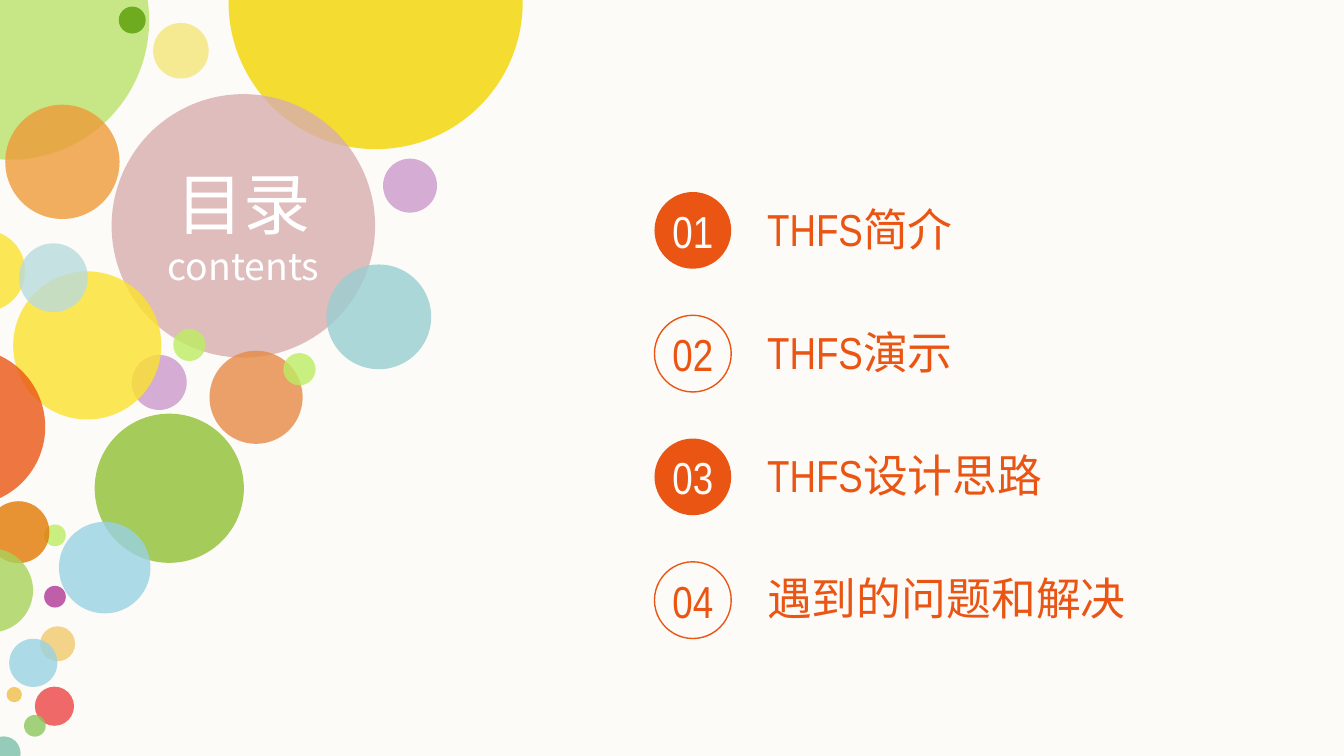
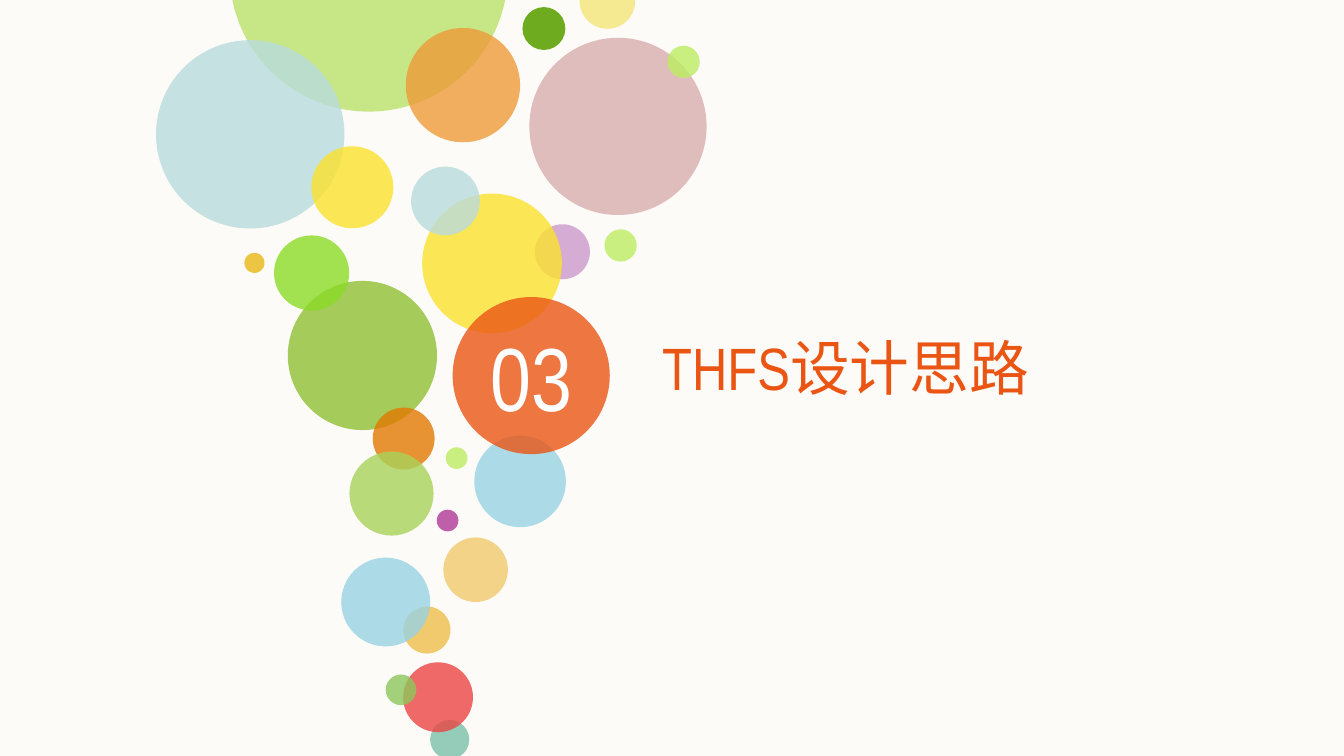
from dataclasses import dataclass
from itertools import chain
from typing import Optional

from lxml.etree import SubElement
from pptx import Presentation
from pptx.dml.color import RGBColor
from pptx.enum.shapes import MSO_SHAPE
from pptx.enum.text import MSO_ANCHOR, MSO_AUTO_SIZE, PP_ALIGN
from pptx.oxml.ns import qn
from pptx.util import Cm, Pt


@dataclass(frozen=True)
class Theme:
    """Colours, fonts and type sizes shared by the slides."""

    paper: str = "FCFBF7"
    accent: str = "EA5514"
    white: str = "FFFFFF"
    latin: str = "Arial Narrow"
    chinese: str = "Noto Sans CJK SC"
    contents_size: int = 36
    subtitle_size: int = 20
    entry_size: int = 24
    section_size: int = 32
    section_number_size: int = 48
    ring_width: float = 0.75
    bubble_opacity: int = 80
    lime: str = "BAE36B"
    forest: str = "6EAB1F"
    apricot: str = "ED9B38"
    cream: str = "F5EA91"
    sun: str = "F4D500"
    rose: str = "D8AEAF"
    teal: str = "99CED2"
    lilac: str = "CB99CC"
    copper: str = "E78A47"
    grass: str = "A5CB5A"
    sprout: str = "BCED61"
    yellow: str = "FBE22D"
    lawn: str = "8CDB27"
    gold: str = "E9B915"
    magenta: str = "B03896"
    amber: str = "F0CA6C"
    jade: str = "7BBFAA"
    coral: str = "EB4544"
    leaf: str = "8DC65B"
    sky: str = "98D2E3"
    mist: str = "B9DBDD"
    orange: str = "E27902"
    moss: str = "A9D25A"


THEME = Theme()


@dataclass(frozen=True)
class Bubble:
    """A bubble with its centre on each kind of slide that shows it."""

    color: str
    diameter: float
    contents: Optional[tuple] = None
    section: Optional[tuple] = None
    section_diameter: Optional[float] = None
    solid: bool = False

    def placed_on(self, scene):
        """Return the centre and diameter for a scene."""
        if scene == "contents":
            return self.contents, self.diameter
        return self.section, self.section_diameter or self.diameter


SEED, BEAD = 0.41, 0.61

CROWN = [
    Bubble(THEME.lime, 5.26, (0.19, 0.39), (6.97, -0.52)),
    Bubble(THEME.forest, 0.51, (2.5, 0.38), (10.28, 0.54), 0.81, solid=True),
    Bubble(THEME.mist, 3.56, section=(4.73, 2.54)),
    Bubble(THEME.apricot, 2.16, (1.18, 3.06), (8.75, 1.61)),
    Bubble(THEME.cream, 1.05, (3.42, 0.96), (11.48, 0.02), solid=True),
    Bubble(THEME.sun, 5.56, contents=(7.1, 0.04)),
]
TITLE_BUBBLE = Bubble(THEME.rose, 4.98, (4.6, 4.27), (11.68, 2.39), 3.35)
MIDDLE = [
    Bubble(THEME.teal, 1.98, contents=(7.16, 5.99)),
    Bubble(THEME.lilac, 1.02, contents=(7.75, 3.51)),
    Bubble(THEME.copper, 1.76, contents=(4.84, 7.51)),
    Bubble(THEME.grass, 2.82, (3.2, 9.23), (6.85, 6.72), solid=True),
    Bubble(THEME.sprout, BEAD, (5.66, 6.98), (12.92, 1.17)),
    Bubble(THEME.sprout, BEAD, (3.58, 6.52), (11.73, 4.64)),
    Bubble(THEME.lilac, 1.04, (3.01, 7.23), (10.63, 4.76)),
    Bubble(THEME.yellow, 2.8, (1.65, 6.53), (9.3, 4.98), 2.64),
    Bubble(THEME.yellow, 1.55, (-0.3, 5.12), (6.66, 3.54)),
    Bubble(THEME.lawn, 1.42, section=(5.89, 5.16)),
    Bubble(THEME.gold, 0.38, section=(4.81, 4.97)),
    Bubble(THEME.sprout, SEED, (1.04, 10.12), (8.63, 8.66)),
    Bubble(THEME.magenta, SEED, (1.04, 11.28), (8.46, 9.84)),
]
TAIL = [
    Bubble(THEME.amber, 0.66, (1.09, 12.17), (8.99, 10.77), 1.22),
    Bubble(THEME.amber, 0.29, (0.27, 13.13), (8.07, 11.91), 0.89, solid=True),
    Bubble(THEME.jade, 0.64, (0.07, 14.24), (8.5, 13.98), 0.74),
    Bubble(THEME.coral, 0.74, (1.03, 13.35), (8.28, 13.18), 1.32),
    Bubble(THEME.leaf, SEED, (0.66, 13.72), (7.58, 13.04), 0.58),
    Bubble(THEME.sky, 0.91, (0.63, 12.53), (7.29, 11.38), 1.68),
]
FRONT = [
    Bubble(THEME.mist, 1.3, (1.01, 5.25), (8.42, 3.8)),
    Bubble(THEME.sky, 1.73, (1.98, 10.73), (9.83, 9.1)),
    Bubble(THEME.orange, 1.17, (0.35, 10.06), (7.63, 8.29)),
    Bubble(THEME.moss, 1.59, (-0.17, 11.16), (7.4, 9.33)),
]
NUMBER_BUBBLE = Bubble(THEME.accent, 2.97, (-0.63, 8.07), (10.04, 7.1))

ENTRIES = ["THFS简介", "THFS演示", "THFS设计思路", "遇到的问题和解决"]


def write_text(frame, *lines, sizes, color, font=THEME.latin, align=PP_ALIGN.LEFT,
               anchor=MSO_ANCHOR.TOP, wrap=True, fit=MSO_AUTO_SIZE.NONE):
    """Fill a text frame with one paragraph per line."""
    frame.margin_left = frame.margin_right = frame.margin_top = frame.margin_bottom = 0
    frame.auto_size = fit
    frame.word_wrap = wrap
    frame.vertical_anchor = anchor
    for index, (line, size) in enumerate(zip(lines, sizes)):
        paragraph = frame.paragraphs[0] if index == 0 else frame.add_paragraph()
        paragraph.alignment = align
        run = paragraph.add_run()
        run.text = line
        run.font.size = Pt(size)
        run.font.color.rgb = RGBColor.from_string(color)
        run.font.name = font
        SubElement(run.font._element, qn("a:ea"), typeface=THEME.chinese)


def add_circle(slide, center, diameter, fill=None, opacity=100, ring=None):
    """Add a circle around its centre, filled or drawn as a ring."""
    left, top = (Cm(middle - diameter / 2) for middle in center)
    circle = slide.shapes.add_shape(MSO_SHAPE.OVAL, left, top, Cm(diameter), Cm(diameter))
    circle.shadow.inherit = False
    if fill:
        circle.fill.solid()
        circle.fill.fore_color.rgb = RGBColor.from_string(fill)
        if opacity < 100:
            color = circle.fill._xPr.find(qn("a:solidFill"))[0]
            SubElement(color, qn("a:alpha"), val=str(opacity * 1000))
    else:
        circle.fill.background()
    if ring:
        circle.line.color.rgb = RGBColor.from_string(ring)
        circle.line.width = Pt(THEME.ring_width)
    else:
        circle.line.fill.background()
    return circle


def number_circle(circle, number, size, color):
    """Centre a two-digit number in a circle."""
    write_text(circle.text_frame, f"{number:02}", sizes=[size], color=color,
               align=PP_ALIGN.CENTER, anchor=MSO_ANCHOR.MIDDLE, wrap=False)


def draw_bubbles(slide, box, scene):
    """Draw the bubbles of a scene from back to front and return their circles."""
    left, top = box[:2]
    circles = {}
    for bubble in chain(CROWN, [TITLE_BUBBLE], MIDDLE, TAIL, FRONT, [NUMBER_BUBBLE]):
        center, diameter = bubble.placed_on(scene)
        if center:
            x, y = center
            opacity = 100 if bubble.solid else THEME.bubble_opacity
            circles[bubble] = add_circle(
                slide, (left + x, top + y), diameter, bubble.color, opacity)
    return circles


def place_title(slide, box, *lines, **text_format):
    """Move the title into the box, in front of the bubbles, and write it."""
    title = slide.shapes.title
    title.left, title.top, title.width, title.height = map(Cm, box)
    title.element.getparent().append(title.element)
    write_text(title.text_frame, *lines, **text_format)


def draw_entries(slide, box, entries):
    """List numbered entries down the box, with discs and rings in turn."""
    left, top, width, height = box
    diameter, label_height, gap = 1.45, 1.02, 0.68
    label_left = left + diameter + gap
    pitch = (height - diameter) / (len(entries) - 1)
    disc = {"fill": THEME.accent}, THEME.paper
    ring = {"ring": THEME.accent}, THEME.accent
    for index, entry in enumerate(entries):
        middle = top + diameter / 2 + index * pitch
        marker_style, number_color = ring if index % 2 else disc
        marker = add_circle(slide, (left + diameter / 2, middle), diameter, **marker_style)
        number_circle(marker, index + 1, THEME.entry_size, number_color)
        label = slide.shapes.add_textbox(
            Cm(label_left), Cm(middle - label_height / 2 - 0.04),
            Cm(left + width - label_left), Cm(label_height))
        write_text(label.text_frame, entry, sizes=[THEME.entry_size],
                   color=THEME.accent, fit=MSO_AUTO_SIZE.SHAPE_TO_FIT_TEXT)


def build_contents(slide, box):
    """Build the table of contents, its title centred on the title bubble."""
    left, top = box[:2]
    title_circle = draw_bubbles(slide, box, "contents")[TITLE_BUBBLE]
    width, height = 3.84, 2.39
    title_left = title_circle.left.cm + (title_circle.width.cm - width) / 2
    title_top = title_circle.top.cm + (title_circle.height.cm - height) / 2
    place_title(slide, (title_left, title_top, width, height), "目录", "contents",
                sizes=[THEME.contents_size, THEME.subtitle_size],
                color=THEME.white, font=THEME.chinese, align=PP_ALIGN.CENTER)
    draw_entries(slide, (left + 12.37, top + 3.63, 8.94, 8.44), ENTRIES)


def build_section(slide, box, number):
    """Build a section divider, its title to the right of the number bubble."""
    number_disc = draw_bubbles(slide, box, "section")[NUMBER_BUBBLE]
    number_circle(number_disc, number, THEME.section_number_size, THEME.white)
    title_left = number_disc.left.cm + number_disc.width.cm + 0.99
    title_top = number_disc.top.cm + 0.64
    place_title(slide, (title_left, title_top, 8.59, 1.37), ENTRIES[number - 1],
                sizes=[THEME.section_size], color=THEME.accent)


def main():
    """Build and save the presentation."""
    presentation = Presentation()
    page = (0, 0, 25.4, 14.29)
    presentation.slide_width, presentation.slide_height = map(Cm, page[2:])
    background = presentation.slide_master.background.fill
    background.solid()
    background.fore_color.rgb = RGBColor.from_string(THEME.paper)
    title_only = presentation.slide_layouts.get_by_name("Title Only")
    build_contents(presentation.slides.add_slide(title_only), page)
    build_section(presentation.slides.add_slide(title_only), page, number=3)
    presentation.save("out.pptx")


if __name__ == "__main__":
    main()
